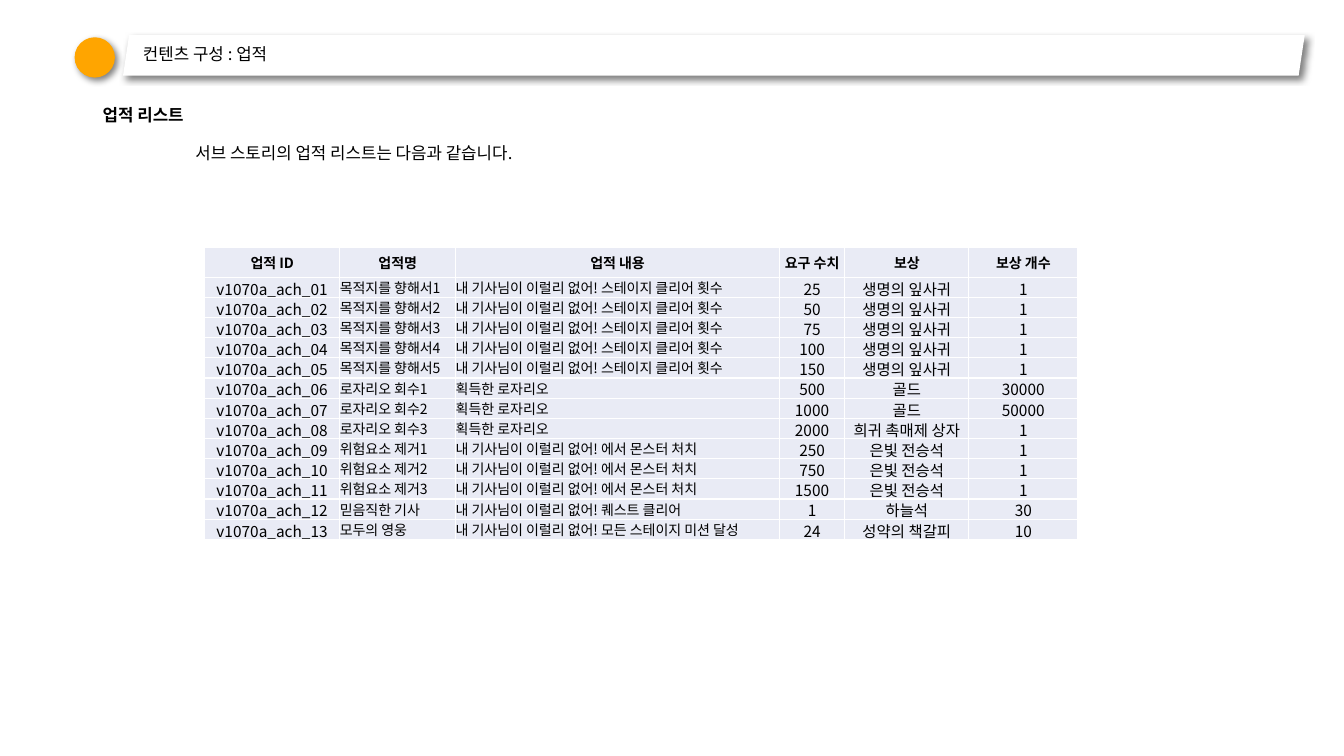
import pptx
import pptx.util
import pptx.dml.color
import pptx.enum.shapes
import pptx.enum.text
import pptx.oxml
import pptx.oxml.ns
from lxml import etree

Inches, Pt = pptx.util.Inches, pptx.util.Pt
RGB = pptx.dml.color.RGBColor.from_string
SHAPE = pptx.enum.shapes.MSO_SHAPE
ALIGN = pptx.enum.text.PP_ALIGN
MIDDLE = pptx.enum.text.MSO_ANCHOR.MIDDLE
qn = pptx.oxml.ns.qn

THEME = {
    "font": "Noto Sans CJK KR", "text": "000000", "accent": "FFA500",
    "bar": "FFFFFF", "cell": "E9EBF5", "border": "FFFFFF",
    "body_size": 12, "label_size": 10, "value_size": 11,
}


def style(p, size, bold=False):
    for r in p.runs:
        r.font.size = Pt(size)
        r.font.bold = bold
        r.font.color.rgb = RGB(THEME["text"])
        r.font.name = THEME["font"]
        ea = etree.SubElement(r.font._element, qn("a:ea"))
        ea.set("typeface", THEME["font"])


def add_text(s, left, top, width, height):
    tf = s.shapes.add_textbox(Inches(left), Inches(top), Inches(width), Inches(height)).text_frame
    tf.word_wrap = True
    return tf


prs = pptx.Presentation()
prs.slide_width, prs.slide_height = Inches(13.33), Inches(7.5)
s = prs.slides.add_slide(prs.slide_layouts[6])

for kind, left, top, width, color in [
    (SHAPE.OVAL, 0.74, 0.37, 0.4, THEME["accent"]),
    (SHAPE.PARALLELOGRAM, 1.22, 0.35, 11.72, THEME["bar"]),
]:
    sp = s.shapes.add_shape(kind, Inches(left), Inches(top), Inches(width), Inches(0.4))
    sp.fill.solid()
    sp.fill.fore_color.rgb = RGB(color)
    sp.line.fill.background()
    if kind == SHAPE.PARALLELOGRAM:
        sp.adjustments[0] = 0.15
    sp.shadow.inherit = False
    effects = sp._element.spPr.find(qn("a:effectLst"))
    shadow = etree.SubElement(effects, qn("a:outerShdw"), blurRad=str(Pt(5)), dist=str(Pt(3)),
                              dir="2700000", algn="tl", rotWithShape="0")
    clr = etree.SubElement(shadow, qn("a:srgbClr"), val="000000")
    etree.SubElement(clr, qn("a:alpha"), val="50000")

tf = add_text(s, 0.92, 0.94, 11.5, 5.81)
p = tf.paragraphs[0]
p.text = "업적 리스트"
p.line_spacing = 1.25
style(p, THEME["body_size"], True)
p = tf.add_paragraph()
p.text = "\t서브 스토리의 업적 리스트는 다음과 같습니다."
p.line_spacing = 1.25
p.space_before = Pt(9.2)
tabs = etree.SubElement(p._p.get_or_add_pPr(), qn("a:tabLst"))
etree.SubElement(tabs, qn("a:tab"), pos=str(Inches(0.92)), algn="l")
style(p, THEME["body_size"])

tf = add_text(s, 1.32, 0.4, 11.1, 0.29)
tf.vertical_anchor = MIDDLE
p = tf.paragraphs[0]
p.text = "컨텐츠 구성 : 업적"
p.line_spacing = 0.9
style(p, THEME["body_size"])

STORY = "내 기사님이 이럴리 없어!"
STAGE = f"{STORY} 스테이지 클리어 횟수"
ROSARY = "획득한 로자리오"
MONSTER = f"{STORY} 에서 몬스터 처치"
achievements = [
    ("목적지를 향해서1", STAGE, 25, "생명의 잎사귀", 1),
    ("목적지를 향해서2", STAGE, 50, "생명의 잎사귀", 1),
    ("목적지를 향해서3", STAGE, 75, "생명의 잎사귀", 1),
    ("목적지를 향해서4", STAGE, 100, "생명의 잎사귀", 1),
    ("목적지를 향해서5", STAGE, 150, "생명의 잎사귀", 1),
    ("로자리오 회수1", ROSARY, 500, "골드", 30000),
    ("로자리오 회수2", ROSARY, 1000, "골드", 50000),
    ("로자리오 회수3", ROSARY, 2000, "희귀 촉매제 상자", 1),
    ("위험요소 제거1", MONSTER, 250, "은빛 전승석", 1),
    ("위험요소 제거2", MONSTER, 750, "은빛 전승석", 1),
    ("위험요소 제거3", MONSTER, 1500, "은빛 전승석", 1),
    ("믿음직한 기사", f"{STORY} 퀘스트 클리어", 1, "하늘석", 30),
    ("모두의 영웅", f"{STORY} 모든 스테이지 미션 달성", 24, "성약의 책갈피", 10),
]
rows = [("업적 ID", "업적명", "업적 내용", "요구 수치", "보상", "보상 개수")]
rows += [(f"v1070a_ach_{i:02}", *a) for i, a in enumerate(achievements, 1)]
widths = [1.34, 1.15, 3.21, 0.65, 1.23, 1.08]

table = s.shapes.add_table(len(rows), len(widths), Inches(2.03), Inches(2.45),
                           Inches(sum(widths)), Inches(2.9)).table
for col, width in zip(table.columns, widths):
    col.width = Inches(width)
for i, row in enumerate(rows):
    header = i == 0
    table.rows[i].height = Inches(0.3 if header else 0.2)
    for j, value in enumerate(row):
        cell = table.cell(i, j)
        label = j in (1, 2)
        cell.margin_left = cell.margin_right = cell.margin_top = cell.margin_bottom = 0
        cell.vertical_anchor = MIDDLE
        for side in ("lnL", "lnR", "lnT", "lnB"):
            ln = etree.SubElement(cell._tc.get_or_add_tcPr(), qn(f"a:{side}"), w=str(Pt(1)))
            fill = etree.SubElement(ln, qn("a:solidFill"))
            etree.SubElement(fill, qn("a:srgbClr"), val=THEME["border"])
        cell.fill.solid()
        cell.fill.fore_color.rgb = RGB(THEME["cell"])
        p = cell.text_frame.paragraphs[0]
        p.text = str(value)
        p.alignment = ALIGN.LEFT if label and not header else ALIGN.CENTER
        style(p, THEME["label_size" if header or label else "value_size"], header)

prs.save("out.pptx")
